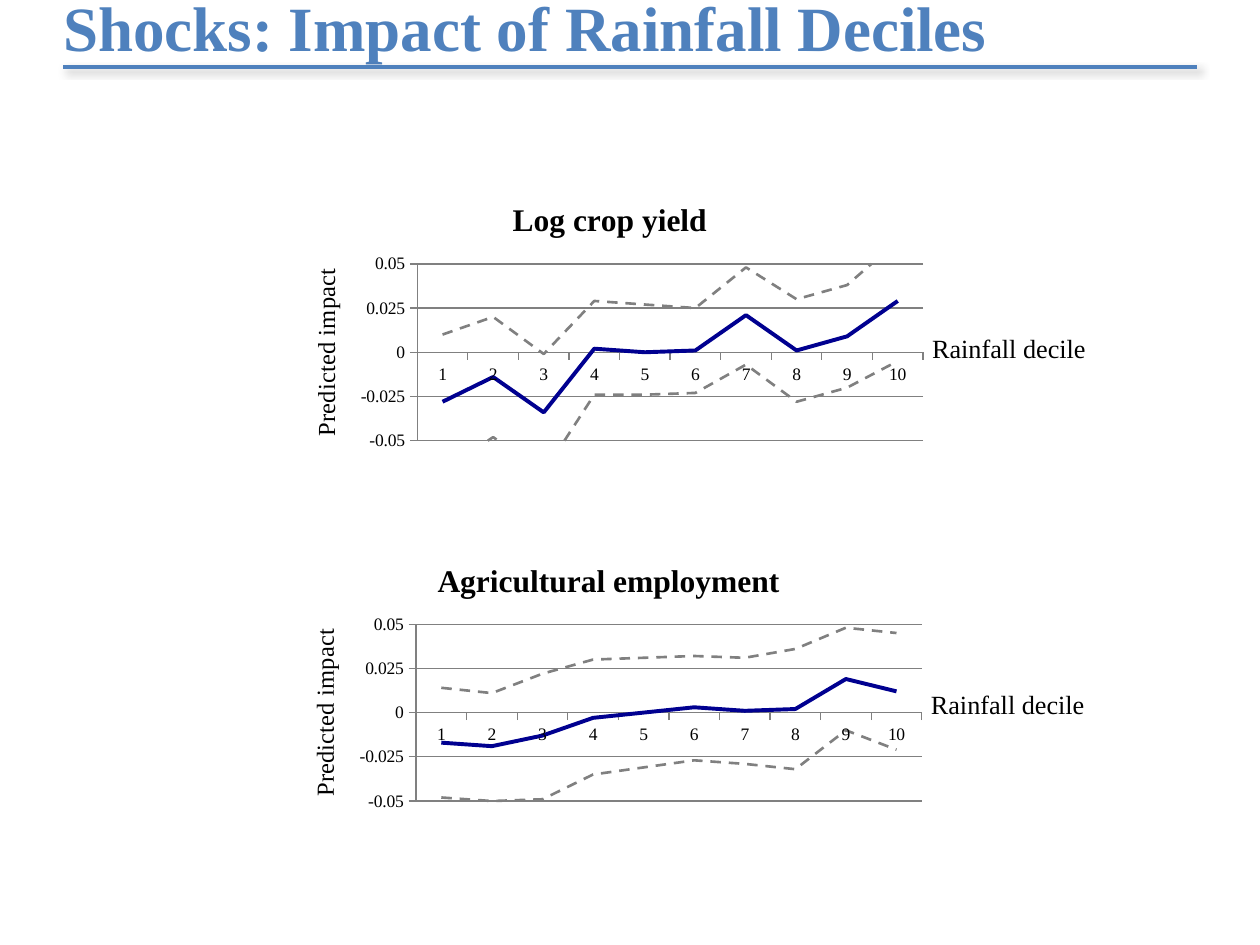
from lxml.etree import fromstring
from pptx import Presentation
from pptx.chart.data import CategoryChartData
from pptx.dml.color import RGBColor
from pptx.enum.chart import XL_CHART_TYPE, XL_MARKER_STYLE, XL_TICK_MARK
from pptx.enum.dml import MSO_LINE
from pptx.enum.shapes import MSO_CONNECTOR
from pptx.enum.text import MSO_ANCHOR, PP_ALIGN
from pptx.util import Inches, Pt

FONT = "Times New Roman"
BLUE, NAVY, GRAY, BLACK = "4F81BD", "000090", "808080", "000000"


def color(hex_string):
    return RGBColor.from_string(hex_string)


def write_text(text_frame, text, size=15, bold=False, fill=BLACK, align=None):
    paragraph = text_frame.paragraphs[0]
    paragraph.alignment = align
    run = paragraph.add_run()
    run.text = text
    run.font.name = FONT
    run.font.size = Pt(size)
    run.font.bold = bold
    run.font.color.rgb = color(fill)


presentation = Presentation()
presentation.slide_width = Inches(10)
presentation.slide_height = Inches(7.5)
slide = presentation.slides.add_slide(presentation.slide_layouts[5])

title = slide.shapes.title
title.left, title.top = Inches(0.4), Inches(-0.16)
title.width, title.height = Inches(9), Inches(0.74)
title.text_frame.vertical_anchor = MSO_ANCHOR.MIDDLE
write_text(title.text_frame, "Shocks: Impact of Rainfall Deciles",
           size=36, bold=True, fill=BLUE, align=PP_ALIGN.LEFT)

rule = slide.shapes.add_connector(
    MSO_CONNECTOR.STRAIGHT, Inches(0.5), Inches(0.53), Inches(9.5), Inches(0.53))
rule.line.color.rgb = color(BLUE)
rule.line.width = Pt(2)
rule._element.spPr.append(fromstring(
    '<a:effectLst xmlns:a="http://schemas.openxmlformats.org/drawingml/2006/main">'
    '<a:outerShdw blurRad="50800" dist="38100" dir="2700000" algn="tl" rotWithShape="0">'
    '<a:srgbClr val="000000"><a:alpha val="43000"/></a:srgbClr>'
    '</a:outerShdw></a:effectLst>'))

PLOT_LAYOUT = (
    '<c:layout xmlns:c="http://schemas.openxmlformats.org/drawingml/2006/chart">'
    '<c:manualLayout><c:layoutTarget val="inner"/>'
    '<c:xMode val="edge"/><c:yMode val="edge"/>'
    '<c:x val="0.205"/><c:y val="0.297"/><c:w val="0.775"/><c:h val="0.647"/>'
    '</c:manualLayout></c:layout>')

panels = [
    ("Log crop yield", 2.25, 1.45, 7.3, 2.59, [
        (-0.067, -0.048, -0.068, -0.024, -0.024, -0.023, -0.007, -0.028, -0.02, -0.005),
        (-0.028, -0.014, -0.034, 0.002, 0, 0.001, 0.021, 0.001, 0.009, 0.029),
        (0.01, 0.02, -0.001, 0.029, 0.027, 0.025, 0.048, 0.03, 0.038, 0.063)]),
    ("Agricultural employment", 2.24, 4.31, 7.29, 5.41, [
        (-0.048, -0.05, -0.049, -0.035, -0.031, -0.027, -0.029, -0.032, -0.01, -0.021),
        (-0.017, -0.019, -0.013, -0.003, 0, 0.003, 0.001, 0.002, 0.019, 0.012),
        (0.014, 0.011, 0.022, 0.03, 0.031, 0.032, 0.031, 0.036, 0.048, 0.045)]),
]

for heading, left, top, label_left, label_top, series_values in panels:
    label = slide.shapes.add_textbox(
        Inches(label_left), Inches(label_top), Inches(2.2), Inches(0.35))
    label.text_frame.word_wrap = True
    write_text(label.text_frame, "Rainfall decile")

    chart_data = CategoryChartData(number_format="General")
    chart_data.categories = [str(decile) for decile in range(1, 11)]
    for number, values in enumerate(series_values, 1):
        chart_data.add_series(f"Series {number}", values)
    chart = slide.shapes.add_chart(
        XL_CHART_TYPE.LINE, Inches(left), Inches(top), Inches(5.18), Inches(2.17),
        chart_data).chart
    chart.has_legend = False
    chart.font.name = FONT
    chart.font.size = Pt(10)
    chart.font.color.rgb = color(BLACK)
    write_text(chart.chart_title.text_frame, heading, size=18, bold=True)

    plot_area = chart._chartSpace.chart.plotArea
    for layout in plot_area.xpath("c:layout"):
        plot_area.remove(layout)
    plot_area.insert(0, fromstring(PLOT_LAYOUT))

    value_axis = chart.value_axis
    value_axis.minimum_scale = -0.05
    value_axis.maximum_scale = 0.05
    value_axis.major_unit = 0.025
    value_axis.has_major_gridlines = True
    write_text(value_axis.axis_title.text_frame, "Predicted impact", size=14)
    for body in value_axis._element.xpath("c:title//a:bodyPr"):
        body.set("rot", "-5400000")
        body.set("vert", "horz")
    for axis in (value_axis, chart.category_axis):
        axis.major_tick_mark = XL_TICK_MARK.OUTSIDE
        axis.minor_tick_mark = XL_TICK_MARK.NONE
    for line in (value_axis.major_gridlines.format.line, value_axis.format.line,
                 chart.category_axis.format.line):
        line.color.rgb = color(GRAY)
        line.width = Pt(0.75)

    chart.plots[0].vary_by_categories = False
    for series, shade in zip(chart.plots[0].series, (GRAY, NAVY, GRAY)):
        series.smooth = False
        series.marker.style = XL_MARKER_STYLE.NONE
        series.format.line.color.rgb = color(shade)
        series.format.line.width = Pt(2.25 if shade == NAVY else 1.5)
        if shade == GRAY:
            series.format.line.dash_style = MSO_LINE.DASH

presentation.save("out.pptx")
